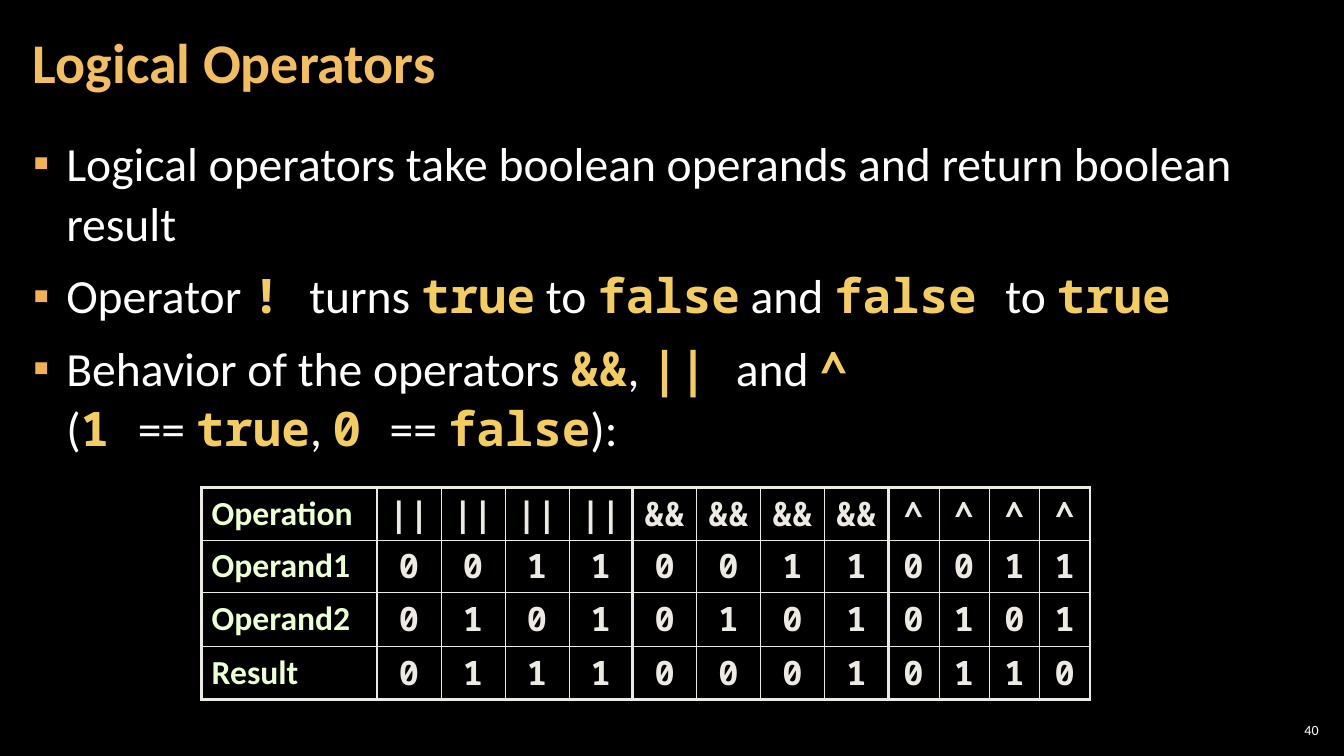
from dataclasses import dataclass

from lxml.etree import SubElement
from pptx import Presentation
from pptx.dml.color import RGBColor
from pptx.enum.text import MSO_ANCHOR as Anchor, MSO_AUTO_SIZE as AutoSize, PP_ALIGN as Align
from pptx.oxml.ns import qn
from pptx.util import Cm, Pt


@dataclass(frozen=True)
class Theme:
    background: str = "000000"
    title: str = "F3BE60"
    text: str = "FFFFFF"
    code: str = "F3CD60"
    bullet: str = "F2B254"
    header: str = "EBFFD2"
    table: str = "ECEAE3"
    font: str = "Calibri"
    code_font: str = "Noto Sans Mono"
    title_size: int = 40
    body_size: int = 34
    table_size: int = 24
    number_size: int = 10
    thick: float = 2.25
    thin: float = 0.25


theme = Theme()


def write(paragraph, text, size, color=theme.text, font=theme.font, bold=False,
          align=Align.LEFT, spacing=1.0):
    """Fill a paragraph; parts between backticks are set as code."""
    paragraph.alignment = align
    paragraph.line_spacing = spacing
    for index, part in enumerate(text.split("`")):
        is_code = index % 2 == 1
        for line_index, line in enumerate(part.split("\n")):
            if line_index:
                paragraph.add_line_break()
            if not line:
                continue
            run = paragraph.add_run()
            run.text = line
            run.font.size = Pt(size)
            run.font.name = theme.code_font if is_code else font
            run.font.bold = is_code or bold
            run.font.color.rgb = RGBColor.from_string(theme.code if is_code else color)


def place(shape, left, top, width, height, anchor, inset_x=0.3):
    """Position a text shape and set up its frame."""
    shape.left, shape.top, shape.width, shape.height = map(Cm, (left, top, width, height))
    frame = shape.text_frame
    frame.word_wrap = True
    frame.auto_size = AutoSize.NONE
    frame.vertical_anchor = anchor
    frame.margin_left = frame.margin_right = Cm(inset_x)
    frame.margin_top = frame.margin_bottom = Cm(0.1)
    return frame


# Slide
presentation = Presentation()
presentation.slide_width, presentation.slide_height = Cm(33.86), Cm(19.05)
slide = presentation.slides.add_slide(presentation.slide_layouts[1])
slide.background.fill.solid()
slide.background.fill.fore_color.rgb = RGBColor.from_string(theme.background)

# Title
title_frame = place(slide.shapes.title, 0.53, 0.1, 26.59, 3.07, Anchor.MIDDLE)
write(title_frame.paragraphs[0], "Logical Operators", theme.title_size,
      color=theme.title, bold=True, spacing=0.9)

# Bullet list
bullets = [
    "Logical operators take boolean operands and return boolean result",
    "Operator `! `turns `true` to `false` and `false `to `true`",
    "Behavior of the operators `&&`, `|| `and `^\n`(`1 `== `true`, `0 `== `false`):",
]
body_frame = place(slide.placeholders[1], 0.53, 3.2, 32.79, 15.47, Anchor.TOP)
for index, bullet in enumerate(bullets):
    paragraph = body_frame.add_paragraph() if index else body_frame.paragraphs[0]
    write(paragraph, bullet, theme.body_size, spacing=1.05)
    paragraph.space_before, paragraph.space_after = Pt(3), Pt(6)
    properties = paragraph._p.get_or_add_pPr()
    properties.set("marL", str(Cm(0.84)))
    properties.set("indent", str(-Cm(0.84)))
    bullet_color = SubElement(properties, qn("a:buClr"))
    SubElement(bullet_color, qn("a:srgbClr"), val=theme.bullet)
    SubElement(properties, qn("a:buChar"), char="▪")

# Truth table: four operand pairs for each operator
results = {"||": "0111", "&&": "0001", "^": "0110"}
rows = [
    ["Operation"] + [operator for operator in results for _ in range(4)],
    ["Operand1"] + list("0011" * len(results)),
    ["Operand2"] + list("0101" * len(results)),
    ["Result"] + list("".join(results.values())),
]
column_widths = [4.42] + [1.61] * 8 + [1.27] * 4
row_heights = [1.31, 1.31, 1.36, 1.36]
thick_columns = {0, 1, 5, 9, 13}
thick_rows = {0, 4}
table = slide.shapes.add_table(len(rows), len(column_widths), Cm(5.08), Cm(12.29),
                               Cm(sum(column_widths)), Cm(sum(row_heights))).table
table.first_row = table.horz_banding = False
for column, width in zip(table.columns, column_widths):
    column.width = Cm(width)
for row, height in zip(table.rows, row_heights):
    row.height = Cm(height)

for row_index, row in enumerate(rows):
    for column_index, value in enumerate(row):
        cell = table.cell(row_index, column_index)
        cell.vertical_anchor = Anchor.MIDDLE
        if column_index == 0:
            cell_format = {"color": theme.header}
        else:
            cell_format = {"color": theme.table, "font": theme.code_font, "align": Align.CENTER}
            cell.margin_left = cell.margin_right = Cm(0.1)
            cell.margin_top = cell.margin_bottom = Cm(0.1)
        write(cell.text_frame.paragraphs[0], value, theme.table_size,
              bold=True, spacing=0.95, **cell_format)

        # Borders, heavier around each operator group
        borders = {
            "a:lnL": column_index in thick_columns,
            "a:lnR": column_index + 1 in thick_columns,
            "a:lnT": row_index in thick_rows,
            "a:lnB": row_index + 1 in thick_rows,
        }
        for tag, is_thick in borders.items():
            line_width = Pt(theme.thick if is_thick else theme.thin)
            line = SubElement(cell._tc.get_or_add_tcPr(), qn(tag), w=str(line_width))
            line_fill = SubElement(line, qn("a:solidFill"))
            SubElement(line_fill, qn("a:srgbClr"), val=theme.table)
        cell.fill.background()

# Slide number
number_box = slide.shapes.add_textbox(0, 0, 0, 0)
number_frame = place(number_box, 32.13, 18.14, 1.19, 0.53, Anchor.MIDDLE, inset_x=0.1)
write(number_frame.paragraphs[0], "40", theme.number_size, align=Align.RIGHT)

presentation.save("out.pptx")
